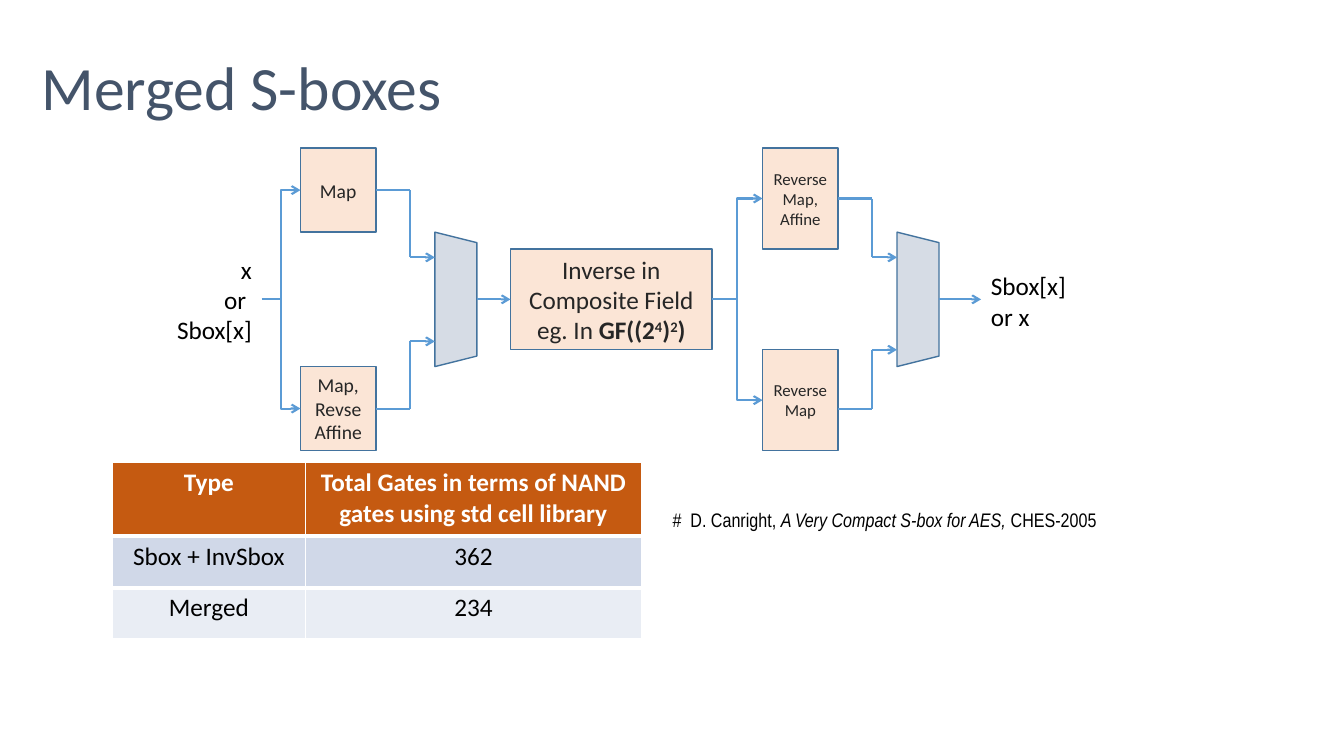
"""Build the slide on merged S-boxes: a block diagram, a gate table and a citation."""
from lxml import etree
from pptx import Presentation
from pptx.dml.color import RGBColor
from pptx.enum.shapes import MSO_CONNECTOR, MSO_SHAPE
from pptx.enum.text import MSO_ANCHOR, PP_ALIGN
from pptx.oxml.ns import qn
from pptx.util import Inches, Pt

LEFT, MID, RIGHT = PP_ALIGN.LEFT, PP_ALIGN.CENTER, PP_ALIGN.RIGHT
CENTRE = MSO_ANCHOR.MIDDLE
RECT, TRAP = MSO_SHAPE.RECTANGLE, MSO_SHAPE.TRAPEZOID
LINE, ELBOW = MSO_CONNECTOR.STRAIGHT, MSO_CONNECTOR.ELBOW
HEX = {"title": "44546A", "text": "000000", "label": "262626", "box": "FBE5D6",
       "mux": "D6DCE5", "edge": "43739E", "wire": "5B9BD5", "white": "FFFFFF",
       "head": "C55A11", "odd": "D0D8E8", "even": "E9EDF4"}
COLOR = {name: RGBColor.from_string(code) for name, code in HEX.items()}
UNIT = 1 / 12
X0, Y0 = 2.98, 1.47


def grid(col, row, wide, high):
    """Turn grid columns and rows into slide lengths."""
    return (Inches(X0 + col * UNIT), Inches(Y0 + row * UNIT),
            Inches(wide * UNIT), Inches(high * UNIT))


def write(frame, lines, size, color, align=MID, face="Calibri", bold=False):
    """Fill a text frame; a line is a string or a list of (text, style) runs."""
    frame.word_wrap = True
    for i, line in enumerate(lines):
        para = frame.paragraphs[0] if i == 0 else frame.add_paragraph()
        para.alignment = align
        font = para.font
        font.size, font.name, font.bold = Pt(size), face, bold
        font.color.rgb = COLOR[color]
        for text, style in [(line, "")] if isinstance(line, str) else line:
            run = para.add_run()
            run.text = text
            if "b" in style:
                run.font.bold = True
            if "i" in style:
                run.font.italic = True
            if "^" in style:
                run.font._element.set("baseline", "30000")


deck = Presentation()
deck.slide_width, deck.slide_height = Inches(13.33), Inches(7.5)
slide = deck.slides.add_slide(deck.slide_layouts[6])
shapes = slide.shapes

title = shapes.add_textbox(*grid(-32, -15.6, 138, 17.4)).text_frame
write(title, ["Merged S-boxes"], 44, "title", LEFT)
title.vertical_anchor = CENTRE
title.paragraphs[0].line_spacing = 0.9

cite = [("#  D. Canright, ", ""), ("A Very Compact S-box for AES, ", "i"), ("CHES-2005", "")]
notes = [
    ((-16, 12, 11.4, 12.1), ["x", "or ", "Sbox[x]"], 18, RIGHT, "Calibri", False),
    ((81, 14, 11.4, 8.5), ["Sbox[x]", "or x"], 18, LEFT, "Calibri", False),
    ((43.1, 42.2, 76, 4.1), [cite], 14, LEFT, "Arial Narrow", True),
]
for place, lines, size, align, face, wrap in notes:
    frame = shapes.add_textbox(*grid(*place)).text_frame
    write(frame, lines, size, "text", align, face)
    frame.word_wrap = wrap

field = [("eg. In ", ""), ("GF((2", "b"), ("4", "b^"), (")", "b"), ("2", "b^"), (")", "b")]
blocks = [
    ("map", RECT, (0, 0, 9, 10), ["Map"], 14),
    ("unmap", RECT, (0, 26, 9, 10), ["Map,", "Revse Affine"], 14),
    ("core", RECT, (25, 12, 24, 12), ["Inverse in Composite Field", field], 18),
    ("affine", RECT, (55, 0, 9, 12), ["Reverse", "Map,", "Affine"], 12),
    ("plain", RECT, (55, 24, 9, 12), ["Reverse", "Map"], 12),
    ("mux in", TRAP, (10.5, 15.5, 16, 5), [], 12),
    ("mux out", TRAP, (65.5, 15.5, 16, 5), [], 12),
]
box = {}
for name, kind, place, lines, size in blocks:
    shape = box[name] = shapes.add_shape(kind, *grid(*place))
    shape.shadow.inherit = False
    shape.fill.solid()
    shape.fill.fore_color.rgb = COLOR["box" if kind == RECT else "mux"]
    shape.line.color.rgb = COLOR["edge"]
    shape.line.width = Pt(1)
    shape.rotation = 0 if kind == RECT else 90
    shape.text_frame.vertical_anchor = CENTRE
    write(shape.text_frame, lines, size, "label")

wires = [
    (ELBOW, (-4.6, 18), (0, 5), True, None, ("map", 1)),
    (ELBOW, (-4.6, 18), (0, 31), True, None, ("unmap", 1)),
    (ELBOW, (49, 18), (55, 6), True, ("core", 3), ("affine", 1)),
    (ELBOW, (49, 18), (55, 30), True, ("core", 3), ("plain", 1)),
    (LINE, (21, 18), (25, 18), True, None, ("core", 1)),
    (LINE, (76, 18), (81, 18), True, None, None),
]
paths = [
    (9, 13, 16, 5, 13, ("map", 3)),
    (9, 13, 16, 31, 23, ("unmap", 3)),
    (64, 68, 71, 6, 13, ("affine", 3)),
    (64, 68, 71, 31, 24, None),
]
for start, bend, stop, high, low, source in paths:
    wires += [
        (LINE, (start, high), (bend, high), False, source, None),
        (LINE, (bend, high), (bend, low), False, None, None),
        (LINE, (bend, low), (stop, low), True, None, None),
    ]
for kind, start, stop, arrow, source, target in wires:
    wire = shapes.add_connector(kind, *grid(*start, 0, 0)[:2], *grid(*stop, 0, 0)[:2])
    if source:
        wire.begin_connect(box[source[0]], source[1])
    if target:
        wire.end_connect(box[target[0]], target[1])
    wire.line.color.rgb = COLOR["wire"]
    wire.line.width = Pt(1.5)
    if arrow:
        etree.SubElement(wire.line._get_or_add_ln(), qn("a:tailEnd"), type="arrow")
    etree.SubElement(wire._element.spPr, qn("a:effectLst"))

rows = [
    ("head", 8.76, "Type", "Total Gates in terms of NAND gates using std cell library"),
    ("odd", 6.12, "Sbox + InvSbox", "362"),
    ("even", 6.12, "Merged", "234"),
]
table = shapes.add_table(3, 2, *grid(-22.4, 37.44, 63, 21)).table
for col, wide in zip(table.columns, (23, 40)):
    col.width = Inches(wide * UNIT)
for r, (tone, high, *texts) in enumerate(rows):
    table.rows[r].height = Inches(high * UNIT)
    edges = {"a:lnL": 1, "a:lnR": 1, "a:lnT": 3 if r else 1, "a:lnB": 3 if r < 2 else 1}
    for c, text in enumerate(texts):
        cell = table.cell(r, c)
        write(cell.text_frame, [text], 18, "text" if r else "white", bold=r == 0)
        props = cell._tc.get_or_add_tcPr()
        for tag, width in edges.items():
            edge = etree.SubElement(props, qn(tag), w=str(Pt(width)))
            paint = etree.SubElement(edge, qn("a:solidFill"))
            etree.SubElement(paint, qn("a:srgbClr"), val=HEX["white"])
        cell.fill.solid()
        cell.fill.fore_color.rgb = COLOR[tone]

deck.save("out.pptx")
